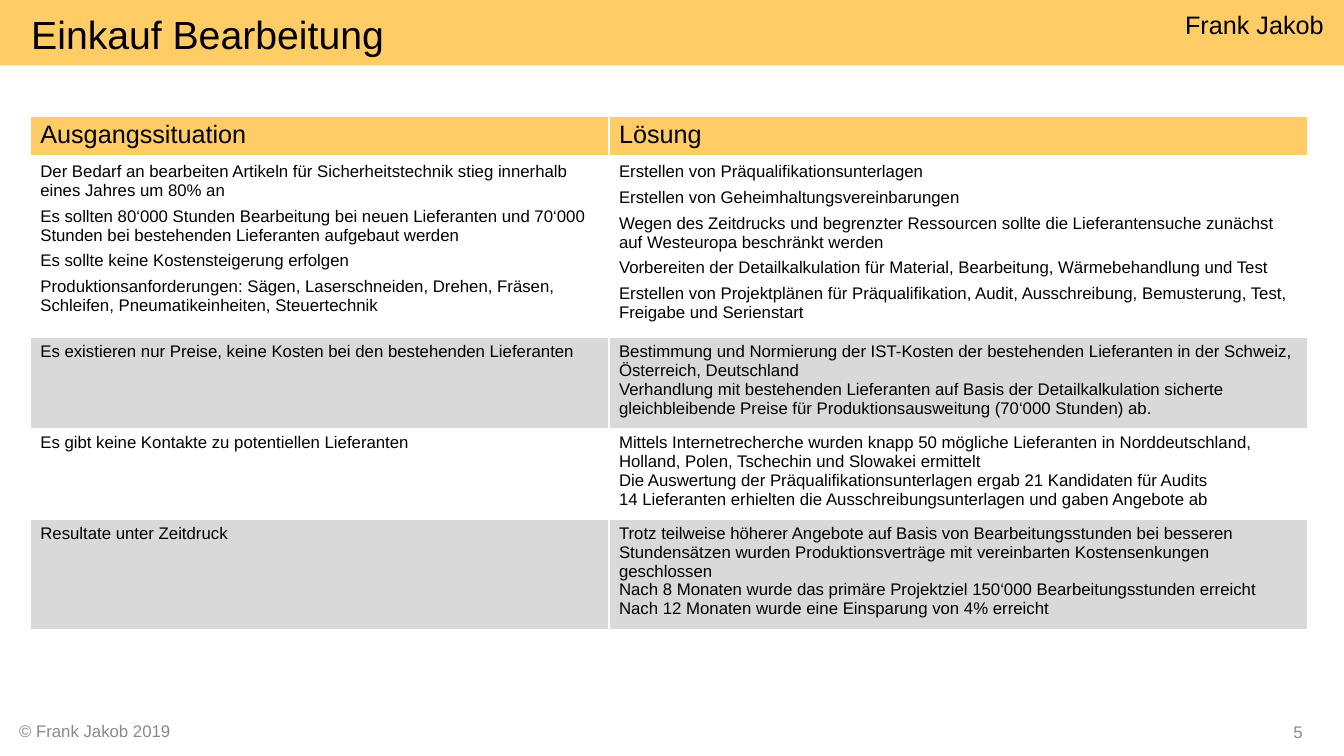
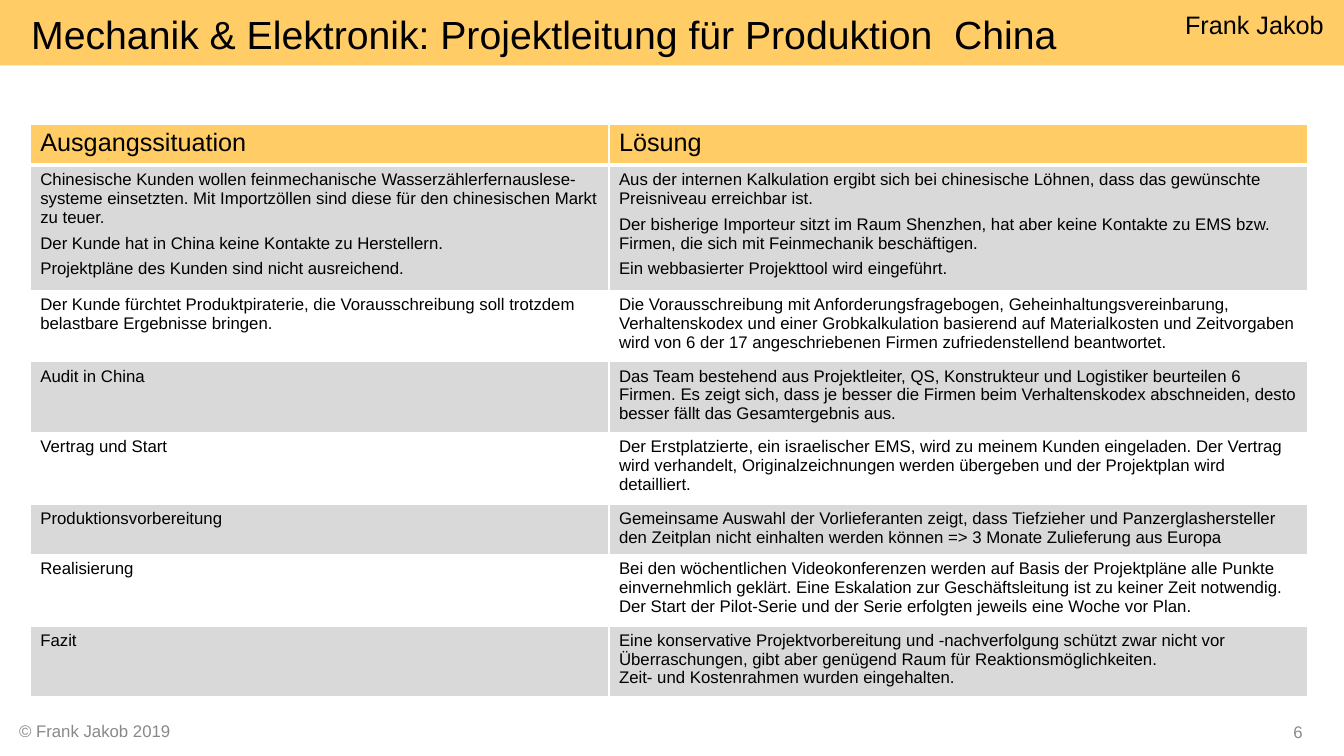
from lxml import etree
from pptx import Presentation
from pptx.dml.color import RGBColor
from pptx.enum.shapes import MSO_SHAPE as Preset
from pptx.enum.text import MSO_ANCHOR as Anchor, MSO_AUTO_SIZE as AutoSize, PP_ALIGN as Align
from pptx.oxml import parse_xml
from pptx.util import Inches, Pt

FONT = "Arial"
COLORS = {"band": "FFCC66", "shade": "D9D9D9", "paper": "FFFFFF",
          "text": "000000", "footer": "898989"}
DRAWING_NS = "http://schemas.openxmlformats.org/drawingml/2006/main"
SLIDE_SIZE = (13.33, 7.5)
BAND_BOX = (0, -0.03, 13.33, 0.68)
TITLE_BOX = (0.31, 0, 10.29, 0.68)
COPYRIGHT_BOX = (0.09, 7.1, 1.72, 0.3)
NUMBER_BOX = (12.73, 7.11, 0.53, 0.3)
TABLE_LEFT = 0.3
COLUMN_WIDTHS = (5.74, 6.93)
HEADINGS = ("Ausgangssituation", "Lösung")
HEADER_HEIGHT = 0.41

# Each row: height, then the paragraphs of the left and the right cell
SLIDES = [
    {
        "title": "Einkauf Bearbeitung",
        "number": 5,
        "top": 1.15,
        "shaded": 0,  # remainder of the row index modulo 2
        "rows": [
            (1.79,
             ["Der Bedarf an bearbeiten Artikeln für Sicherheitstechnik stieg innerhalb eines "
              "Jahres um 80% an",
              "Es sollten 80‘000 Stunden Bearbeitung bei neuen Lieferanten und 70‘000 Stunden "
              "bei bestehenden Lieferanten aufgebaut werden",
              "Es sollte keine Kostensteigerung erfolgen",
              "Produktionsanforderungen: Sägen, Laserschneiden, Drehen, Fräsen, Schleifen, "
              "Pneumatikeinheiten, Steuertechnik"],
             ["Erstellen von Präqualifikationsunterlagen",
              "Erstellen von Geheimhaltungsvereinbarungen",
              "Wegen des Zeitdrucks und begrenzter Ressourcen sollte die Lieferantensuche "
              "zunächst auf Westeuropa beschränkt werden",
              "Vorbereiten der Detailkalkulation für Material, Bearbeitung, Wärmebehandlung "
              "und Test",
              "Erstellen von Projektplänen für Präqualifikation, Audit, Ausschreibung, "
              "Bemusterung, Test, Freigabe und Serienstart"]),
            (0.89,
             ["Es existieren nur Preise, keine Kosten bei den bestehenden Lieferanten"],
             ["Bestimmung und Normierung der IST-Kosten der bestehenden Lieferanten in der "
              "Schweiz, Österreich, Deutschland",
              "Verhandlung mit bestehenden Lieferanten auf Basis der Detailkalkulation sicherte "
              "gleichbleibende Preise für Produktionsausweitung (70‘000 Stunden) ab."]),
            (0.9,
             ["Es gibt keine Kontakte zu potentiellen Lieferanten"],
             ["Mittels Internetrecherche wurden knapp 50 mögliche Lieferanten in "
              "Norddeutschland, Holland, Polen, Tschechin und Slowakei ermittelt",
              "Die Auswertung der Präqualifikationsunterlagen ergab 21 Kandidaten für Audits",
              "14 Lieferanten erhielten die Ausschreibungsunterlagen und gaben Angebote ab"]),
            (1.1,
             ["Resultate unter Zeitdruck"],
             ["Trotz teilweise höherer Angebote auf Basis von Bearbeitungsstunden bei besseren "
              "Stundensätzen wurden Produktionsverträge mit vereinbarten Kostensenkungen "
              "geschlossen",
              "Nach 8 Monaten wurde das primäre Projektziel 150‘000 Bearbeitungsstunden "
              "erreicht Nach 12 Monaten wurde eine Einsparung von 4% erreicht"]),
        ],
    },
    {
        "title": "Mechanik & Elektronik: Projektleitung für Produktion  China",
        "number": 6,
        "top": 1.23,
        "shaded": 1,
        "rows": [
            (1.23,
             ["Chinesische Kunden wollen feinmechanische Wasserzählerfernauslese-systeme "
              "einsetzten. Mit Importzöllen sind diese für den chinesischen Markt zu teuer.",
              "Der Kunde hat in China keine Kontakte zu Herstellern.",
              "Projektpläne des Kunden sind nicht ausreichend."],
             ["Aus der internen Kalkulation ergibt sich bei chinesische Löhnen, dass das "
              "gewünschte Preisniveau erreichbar ist.",
              "Der bisherige Importeur sitzt im Raum Shenzhen, hat aber keine Kontakte zu EMS "
              "bzw. Firmen, die sich mit Feinmechanik beschäftigen.",
              "Ein webbasierter Projekttool wird eingeführt."]),
            (0.71,
             ["Der Kunde fürchtet Produktpiraterie, die Vorausschreibung soll trotzdem "
              "belastbare Ergebnisse bringen."],
             ["Die Vorausschreibung mit Anforderungsfragebogen, Geheinhaltungsvereinbarung, "
              "Verhaltenskodex und einer Grobkalkulation basierend auf Materialkosten und "
              "Zeitvorgaben wird von 6 der 17 angeschriebenen Firmen zufriedenstellend "
              "beantwortet."]),
            (0.7,
             ["Audit in China"],
             ["Das Team bestehend aus Projektleiter, QS, Konstrukteur und Logistiker beurteilen "
              "6 Firmen. Es zeigt sich, dass je besser die Firmen beim Verhaltenskodex "
              "abschneiden, desto besser fällt das Gesamtergebnis aus."]),
            (0.71,
             ["Vertrag und Start"],
             ["Der Erstplatzierte, ein israelischer EMS, wird zu meinem Kunden eingeladen. Der "
              "Vertrag wird verhandelt, Originalzeichnungen werden übergeben und der "
              "Projektplan wird detailliert."]),
            (0.49,
             ["Produktionsvorbereitung"],
             ["Gemeinsame Auswahl der Vorlieferanten zeigt, dass Tiefzieher und "
              "Panzerglashersteller den Zeitplan nicht einhalten werden können => 3 Monate "
              "Zulieferung aus Europa"]),
            (0.71,
             ["Realisierung"],
             ["Bei den wöchentlichen Videokonferenzen werden auf Basis der Projektpläne alle "
              "Punkte einvernehmlich geklärt. Eine Eskalation zur Geschäftsleitung ist zu "
              "keiner Zeit notwendig. Der Start der Pilot-Serie und der Serie erfolgten jeweils "
              "eine Woche vor Plan."]),
            (0.7,
             ["Fazit"],
             ["Eine konservative Projektvorbereitung und -nachverfolgung schützt zwar nicht vor "
              "Überraschungen, gibt aber genügend Raum für Reaktionsmöglichkeiten.",
              "Zeit- und Kostenrahmen wurden eingehalten."]),
        ],
    },
]


def color(name):
    return RGBColor.from_string(COLORS[name])


def inches(box):
    return [Inches(value) for value in box]


def write(text_frame, paragraphs, size, color_name="text", align=Align.LEFT):
    """Fill a text frame and format all of its runs alike."""
    text_frame.text = "\n".join(paragraphs)
    for paragraph in text_frame.paragraphs:
        paragraph.alignment = align
        for run in paragraph.runs:
            font = run.font
            font.name, font.size, font.bold = FONT, Pt(size), False
            font.color.rgb = color(color_name)


def set_margins(text_frame, left=0, top=0, right=0, bottom=0):
    text_frame.margin_left, text_frame.margin_top = Inches(left), Inches(top)
    text_frame.margin_right, text_frame.margin_bottom = Inches(right), Inches(bottom)


def add_band(slide, box):
    band = slide.shapes.add_shape(Preset.RECTANGLE, *inches(box))
    band.shadow.inherit = False
    band.fill.solid()
    band.fill.fore_color.rgb = color("band")
    band.line.fill.background()
    band.text_frame.vertical_anchor = Anchor.TOP
    set_margins(band.text_frame, top=0.12, right=0.2)
    write(band.text_frame, ["Frank Jakob"], 18, align=Align.RIGHT)


def add_footer(slide, box, text):
    footer = slide.shapes.add_textbox(*inches(box))
    footer.text_frame.word_wrap = False
    write(footer.text_frame, [text], 12, "footer")
    return footer


def make_number_field(footer):
    """Turn the only run of a footer into a slide number field."""
    run = footer.text_frame.paragraphs[0].runs[0]
    element = run.font.fill and footer.element.find(f".//{{{DRAWING_NS}}}r")
    element.tag = f"{{{DRAWING_NS}}}fld"
    element.set("id", "{B6F15528-21DE-4FAA-801E-634DDDAF4B2B}")
    element.set("type", "slidenum")


def place_title(slide, box, text):
    title = slide.shapes.title
    title.left, title.top, title.width, title.height = inches(box)
    frame = title.text_frame
    frame.auto_size, frame.word_wrap = AutoSize.NONE, True
    frame.vertical_anchor = Anchor.MIDDLE
    set_margins(frame)
    write(frame, [text], 28)
    # Bring the title in front of the band
    title.element.getparent().append(title.element)


def set_borders(cell, top, bottom):
    properties = cell._tc.get_or_add_tcPr()
    for side, width in (("L", 1), ("R", 1), ("T", top), ("B", bottom)):
        properties.append(parse_xml(
            f'<a:ln{side} xmlns:a="{DRAWING_NS}" w="{Pt(width)}"><a:solidFill>'
            f'<a:srgbClr val="{COLORS["paper"]}"/></a:solidFill></a:ln{side}>'))


def add_comparison_table(slide, left, top, rows, shaded):
    all_rows = [(HEADER_HEIGHT, *[[heading] for heading in HEADINGS]), *rows]
    height = sum(row[0] for row in all_rows)
    table = slide.shapes.add_table(
        len(all_rows), len(COLUMN_WIDTHS),
        *inches((left, top, sum(COLUMN_WIDTHS), height))).table
    table.horz_banding = False
    for column, width in zip(table.columns, COLUMN_WIDTHS):
        column.width = Inches(width)
    for index, (row_height, *texts) in enumerate(all_rows):
        table.rows[index].height = Inches(row_height)
        is_header = index == 0
        fill = "band" if is_header else "shade" if index % 2 == shaded else "paper"
        for cell, paragraphs in zip(table.rows[index].cells, texts):
            set_borders(cell, 3 if index == 1 else 1, 3 if is_header else 1)
            cell.fill.solid()
            cell.fill.fore_color.rgb = color(fill)
            write(cell.text_frame, paragraphs, 18 if is_header else 12)
            # Only the opening row sets its paragraphs apart
            if index == 1:
                for paragraph in cell.text_frame.paragraphs:
                    paragraph.space_before, paragraph.space_after = Pt(2), Pt(3)


def add_comparison_slide(presentation, content):
    slide = presentation.slides.add_slide(presentation.slide_layouts.get_by_name("Title Only"))
    add_footer(slide, COPYRIGHT_BOX, "© Frank Jakob 2019")
    add_band(slide, BAND_BOX)
    make_number_field(add_footer(slide, NUMBER_BOX, str(content["number"])))
    add_comparison_table(slide, TABLE_LEFT, content["top"], content["rows"], content["shaded"])
    place_title(slide, TITLE_BOX, content["title"])


def main():
    presentation = Presentation()
    presentation.slide_width, presentation.slide_height = inches(SLIDE_SIZE)
    # Numbering starts at the first slide of this section
    numbering = presentation.element
    numbering.set("firstSlideNum", str(SLIDES[0]["number"]))
    for content in SLIDES:
        add_comparison_slide(presentation, content)
    presentation.save("out.pptx")


if __name__ == "__main__":
    main()
